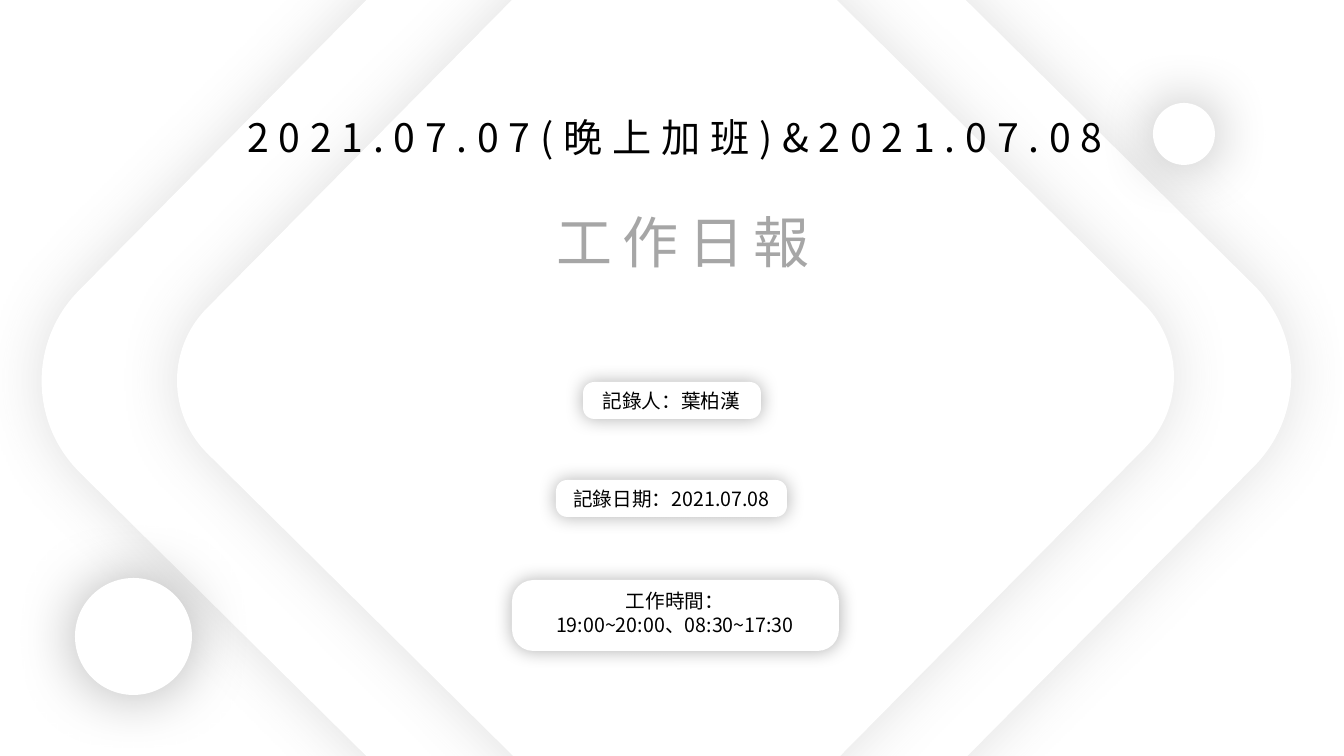
import pptx
import pptx.util
from lxml import etree
from pptx.dml.color import RGBColor
from pptx.enum.shapes import MSO_SHAPE
from pptx.enum.text import MSO_AUTO_SIZE, PP_ALIGN
from pptx.oxml.ns import qn

SLIDE_WIDTH, SLIDE_HEIGHT = 1344, 756
EMU_PER_PX = 12192000 / SLIDE_WIDTH
FONT = "Noto Sans CJK SC"
WHITE = RGBColor(0xFF, 0xFF, 0xFF)
BLACK = RGBColor(0x00, 0x00, 0x00)
DARK_GRAY = RGBColor(0x59, 0x59, 0x59)
LIGHT_GRAY = RGBColor(0xA6, 0xA6, 0xA6)


def px(length):
    return pptx.util.Emu(round(length * EMU_PER_PX))


def add_soft_shadow(shape, color, opacity, blur):
    """Add a centred outer shadow; opacity in percent, blur in points."""
    shape.shadow.inherit = False
    effects = shape._element.spPr.find(qn("a:effectLst"))
    shadow = etree.SubElement(
        effects, qn("a:outerShdw"), blurRad=str(pptx.util.Pt(blur)),
        dist="0", dir="0", algn="ctr", rotWithShape="0")
    rgb = etree.SubElement(shadow, qn("a:srgbClr"), val=str(color))
    etree.SubElement(rgb, qn("a:alpha"), val=str(opacity * 1000))


def add_white_shape(shapes, kind, box, color=BLACK, opacity=30, blur=43):
    shape = shapes.add_shape(kind, *map(px, box))
    shape.fill.solid()
    shape.fill.fore_color.rgb = WHITE
    shape.line.fill.background()
    add_soft_shadow(shape, color, opacity, blur)
    return shape


def add_diamond(shapes, left, top, size):
    diamond = add_white_shape(shapes, MSO_SHAPE.ROUNDED_RECTANGLE,
                              (left, top, size, size), DARK_GRAY, 19)
    diamond.adjustments[0] = 0.134
    diamond.rotation = 44.7


def add_circle(shapes, left, top, size):
    add_white_shape(shapes, MSO_SHAPE.OVAL, (left, top, size, size))


def add_text(shapes, box, lines, size, color=BLACK, spacing=0):
    """Add centred lines of text; spacing between letters in points."""
    frame = shapes.add_textbox(*map(px, box)).text_frame
    frame.word_wrap = True
    frame.auto_size = MSO_AUTO_SIZE.SHAPE_TO_FIT_TEXT
    frame.text = "\n".join(lines)
    for paragraph in frame.paragraphs:
        paragraph.alignment = PP_ALIGN.CENTER
        for run in paragraph.runs:
            run.font.size = pptx.util.Pt(size)
            run.font.color.rgb = color
            run.font.name = FONT
            properties = run._r.get_or_add_rPr()
            etree.SubElement(properties, qn("a:ea"), typeface=FONT)
            if spacing:
                properties.set("spc", str(spacing * 100))


def add_badge(shapes, box, text_box, lines):
    group = shapes.add_group_shape()
    badge = add_white_shape(group.shapes, MSO_SHAPE.ROUNDED_RECTANGLE, box, blur=13)
    badge.adjustments[0] = 0.302
    add_text(group.shapes, text_box, lines, 14)


def main():
    presentation = pptx.Presentation()
    presentation.slide_width = px(SLIDE_WIDTH)
    presentation.slide_height = px(SLIDE_HEIGHT)
    slide = presentation.slides.add_slide(presentation.slide_layouts[6])
    slide.background.fill.solid()
    slide.background.fill.fore_color.rgb = WHITE
    shapes = slide.shapes

    add_diamond(shapes, 187, -101, 959)
    add_diamond(shapes, 293, -4, 765)
    add_text(shapes, (179, 108, 992, 57), ["2021.07.07(晚上加班)&2021.07.08"], 28, spacing=7)
    add_text(shapes, (444, 203, 479, 78), ["工作日報"], 40, LIGHT_GRAY, spacing=7)
    add_circle(shapes, 75, 578, 117)
    add_circle(shapes, 1153, 103, 62)

    add_badge(shapes, (583, 382, 178, 37), (566, 384, 211, 34), ["記錄人：葉柏漢"])
    add_badge(shapes, (556, 480, 231, 37), (550, 482, 243, 34), ["記錄日期：2021.07.08"])
    add_badge(shapes, (512, 580, 327, 71), (503, 584, 344, 57),
              ["工作時間：", "19:00~20:00、08:30~17:30"])

    presentation.save("out.pptx")


if __name__ == "__main__":
    main()
